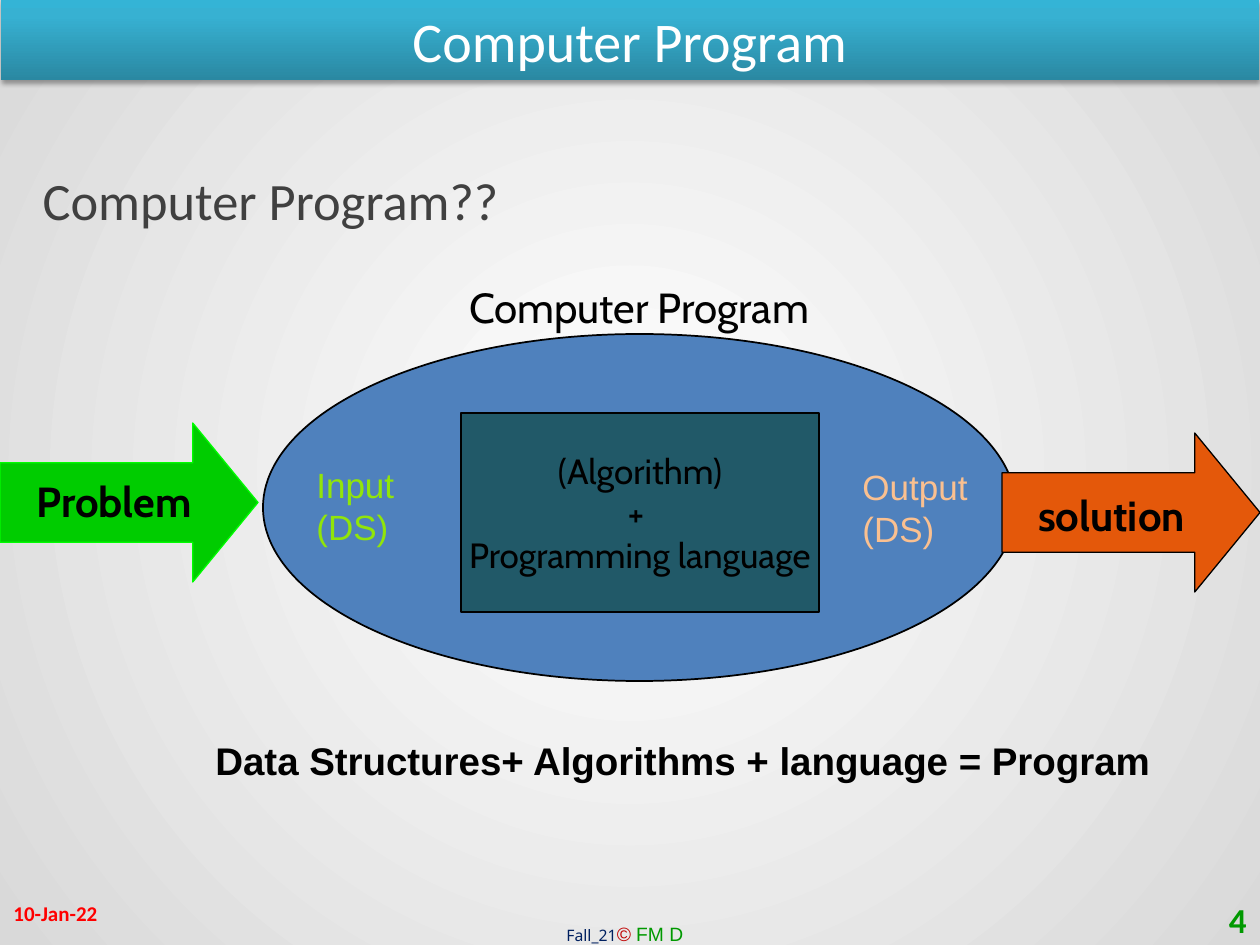
from lxml.etree import SubElement
from pptx import Presentation
from pptx.dml.color import RGBColor
from pptx.enum.shapes import MSO_SHAPE
from pptx.enum.text import MSO_ANCHOR, MSO_AUTO_SIZE, PP_ALIGN
from pptx.oxml.ns import qn
from pptx.util import Emu, Pt

SCALE = 914400 / 126
LEFT, MID, RIGHT = PP_ALIGN.LEFT, PP_ALIGN.CENTER, PP_ALIGN.RIGHT


def px(*sizes):
    return [Emu(round(size * SCALE)) for size in sizes]


def paint(font, color):
    font.color.rgb = RGBColor.from_string(color)


def node(parent, tag, **attrs):
    return SubElement(parent, qn("a:" + tag), {k: str(v) for k, v in attrs.items()})


def blend(fill, root, stops, angle=None):
    """Fill with a linear gradient, or a round one if no angle is given."""
    fill.gradient()
    grad = next(root.iter(qn("a:gradFill")))
    for child in list(grad):
        grad.remove(child)
    chain = node(grad, "gsLst")
    for pos, color in stops:
        node(node(chain, "gs", pos=pos * 1000), "srgbClr", val=color)
    if angle is None:
        ring = node(grad, "path", path="circle")
        node(ring, "fillToRect", l=50000, t=50000, r=50000, b=50000)
    else:
        node(grad, "lin", ang=angle * 60000, scaled=0)


def write(shape, lines, font, size, color, align=LEFT, bold=False,
          wrap=True, anchor=MSO_ANCHOR.TOP):
    """Each line is a list of runs: a string, or (string, format) for changes."""
    frame = shape.text_frame
    frame.auto_size = MSO_AUTO_SIZE.NONE
    frame.word_wrap = wrap
    frame.vertical_anchor = anchor
    for i, line in enumerate(lines):
        para = frame.add_paragraph() if i else frame.paragraphs[0]
        para.alignment = align
        for part in line:
            words, diff = (part, {}) if isinstance(part, str) else part
            run = para.add_run()
            run.text = words
            run.font.name = diff.get("font", font)
            run.font.size = Pt(diff.get("size", size))
            run.font.bold = bold
            run.font.italic = diff.get("slant", False)
            paint(run.font, diff.get("color", color))


def label(slide, box, lines, *style, **more):
    write(slide.shapes.add_textbox(*px(*box)), lines, *style, **more)


def block(slide, kind, box, fill=None, line=None, width=0.75):
    shape = slide.shapes.add_shape(kind, *px(*box))
    shape.shadow.inherit = False
    if fill:
        shape.fill.solid()
        shape.fill.fore_color.rgb = RGBColor.from_string(fill)
    if line:
        paint(shape.line, line)
        shape.line.width = Pt(width)
    else:
        shape.line.fill.background()
    return shape


def banner(slide):
    bar = block(slide, MSO_SHAPE.RECTANGLE, (1, 0, 1258, 80))
    props = bar._element.spPr
    blend(bar.fill, props, [(0, "2A88A2"), (80, "37B1D2"), (100, "34B4D6")], 270)
    shade = node(props.find(qn("a:effectLst")), "outerShdw", blurRad=Pt(3.1),
                 dist=Pt(1.8), dir=5400000, rotWithShape=0)
    node(node(shade, "srgbClr", val="000000"), "alpha", val=35000)
    write(bar, [["Computer Program"]], "Calibri", 32, "FFFFFF", MID)


def arrow(slide, box, fill, line, word, spot):
    shape = block(slide, MSO_SHAPE.RIGHT_ARROW, box, fill, line)
    shape.adjustments[1] = 0.41
    label(slide, spot, [[word]], "Cabin", 24, "000000", MID, True)


def main():
    deck = Presentation()
    deck.slide_width, deck.slide_height = px(1260, 945)
    slide = deck.slides.add_slide(deck.slide_layouts[5])
    back = slide.background.fill
    blend(back, slide._element, [(0, "FFFFFF"), (100, "D9D9D9")])

    # Banner and title
    banner(slide)
    title = slide.shapes.title
    title.left, title.top, title.width, title.height = px(30, 150, 1134, 98)
    write(title, [["Computer Program??"]], "Calibri", 30, "404040",
          anchor=MSO_ANCHOR.MIDDLE)

    # Program: ellipse with its name above and the core inside
    block(slide, MSO_SHAPE.OVAL, (263, 334, 753, 347), "4F81BD", "000000", 1)
    label(slide, (418, 276, 442, 62), [["Computer Program"]],
          "Cabin", 24, "000000", MID, anchor=MSO_ANCHOR.MIDDLE)
    core = block(slide, MSO_SHAPE.RECTANGLE, (461, 413, 358, 199),
                 "215968", "000000")
    write(core, [["(Algorithm)"], ["+ "], ["Programming language"]],
          "Cabin", 20, "000000", MID, wrap=False, anchor=MSO_ANCHOR.MIDDLE)

    # Data going in and out
    for box, word, color in (((304, 457, 103, 97), "Input", "91E509"),
                             ((850, 459, 130, 97), "Output", "FAC090")):
        label(slide, box, [[word], ["(DS)"]], "Arial", 20, color, wrap=False)

    # Arrows on both sides
    arrow(slide, (0, 423, 258, 159), "00CC00", "00FD00",
          "Problem", (0, 469, 228, 64))
    arrow(slide, (1002, 433, 258, 159), "E4580A", "000000",
          "solution", (1017, 483, 189, 64))

    # Sum line
    label(slide, (203, 731, 965, 59),
          [["Data Structures+ Algorithms + language = Program"]],
          "Arial", 22, "000000", bold=True, wrap=False)

    # Footer: date, term and page
    label(slide, (1, 888, 294, 50), [["10-Jan-22"]], "Calibri", 12, "FF0000",
          bold=True, anchor=MSO_ANCHOR.MIDDLE)
    sign = {"font": "Arial", "size": 11, "color": "C00000", "slant": True}
    name = {"font": "Arial", "size": 11, "color": "009900"}
    label(slide, (554, 916, 142, 37), [["Fall_21", ("© ", sign), ("FM D", name)]],
          "Noto Sans", 9, "002060", wrap=False)
    label(slide, (965, 895, 294, 50), [["4"]], "Calibri", 20, "009900", RIGHT,
          True, anchor=MSO_ANCHOR.MIDDLE)

    deck.save("out.pptx")


if __name__ == "__main__":
    main()
